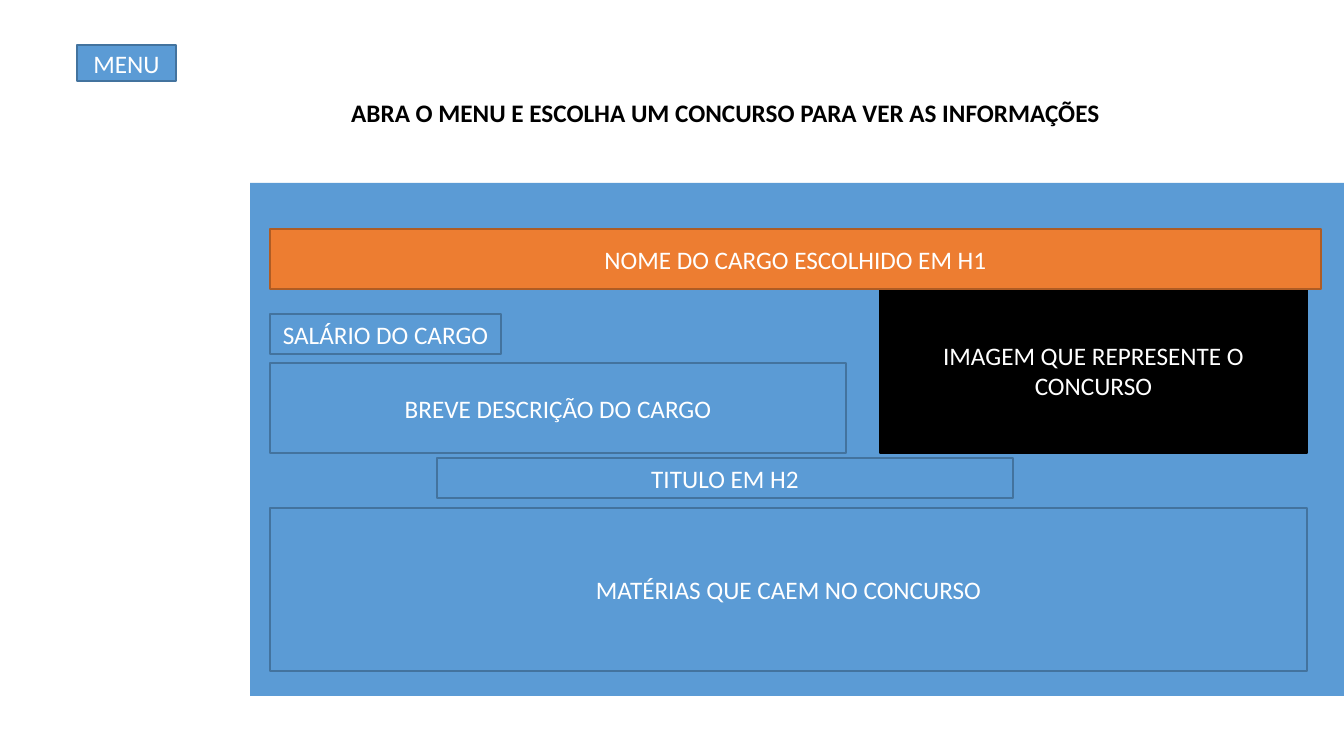
from pptx import Presentation
from pptx import util as u
from pptx.dml.color import RGBColor
from pptx.enum import shapes, text

PX = 12192000 / 1344
BLUE = RGBColor(0x5B, 0x9B, 0xD5)
BLUE_EDGE = RGBColor(0x43, 0x73, 0x9E)
ORANGE = RGBColor(0xED, 0x7D, 0x31)
ORANGE_EDGE = RGBColor(0xAF, 0x5C, 0x24)
BLACK = RGBColor(0, 0, 0)
WHITE = RGBColor(0xFF, 0xFF, 0xFF)


def px(n):
    """Turn pixels into EMU."""
    return u.Emu(round(n * PX))


def apply(obj, values):
    """Set attributes from a dict of format values."""
    for name, value in values.items():
        setattr(obj, name, value)


def write(sp, words, color, bold=False):
    """Write one centred paragraph in a shape."""
    tf = sp.text_frame
    apply(tf, {"word_wrap": True, "auto_size": text.MSO_AUTO_SIZE.NONE,
               "vertical_anchor": text.MSO_ANCHOR.MIDDLE})
    p = tf.paragraphs[0]
    p.alignment = text.PP_ALIGN.CENTER
    r = p.add_run()
    r.text = words
    apply(r.font, {"name": "Calibri", "size": u.Pt(18), "bold": bold})
    r.font.color.rgb = color


def add_box(slide, box, words="", fill=BLUE, edge=BLUE_EDGE):
    """Add a filled rectangle, with an edge and a label if given."""
    sp = slide.shapes.add_shape(shapes.MSO_SHAPE.RECTANGLE, *map(px, box))
    sp.shadow.inherit = False
    sp.fill.solid()
    sp.fill.fore_color.rgb = fill
    if edge is None:
        sp.line.fill.background()
    else:
        sp.line.color.rgb = edge
        sp.line.width = u.Pt(1)
    if words:
        write(sp, words, WHITE)


def add_heading(slide, box):
    """Place and write the slide title."""
    sp = slide.shapes.title
    apply(sp, dict(zip(("left", "top", "width", "height"), map(px, box))))
    write(sp, "ABRA O MENU E ESCOLHA UM CONCURSO PARA VER AS INFORMAÇÕES",
          BLACK, bold=True)


def add_job_panel(slide, box):
    """Draw the job panel and the blocks inside it."""
    left, top, _, _ = box
    add_box(slide, box, edge=None)
    blocks = [
        ((630, 105, 427, 165), "IMAGEM QUE REPRESENTE O CONCURSO", BLACK, BLACK),
        ((20, 46, 1051, 60), "NOME DO CARGO ESCOLHIDO EM H1", ORANGE, ORANGE_EDGE),
        ((20, 131, 231, 40), "SALÁRIO DO CARGO", BLUE, BLUE_EDGE),
        ((20, 180, 576, 90), "BREVE DESCRIÇÃO DO CARGO", BLUE, BLUE_EDGE),
        ((20, 325, 1037, 163), "MATÉRIAS QUE CAEM NO CONCURSO", BLUE, BLUE_EDGE),
        ((187, 275, 576, 40), "TITULO EM H2", BLUE, BLUE_EDGE),
    ]
    for (x, y, w, h), words, fill, edge in blocks:
        add_box(slide, (left + x, top + y, w, h), words, fill, edge)


def main():
    """Build and save the slide."""
    prs = Presentation()
    apply(prs, {"slide_width": px(1344), "slide_height": px(756)})
    slide = prs.slides.add_slide(prs.slide_layouts[5])
    add_box(slide, (77, 45, 99, 36), "MENU")
    add_heading(slide, (250, 62, 951, 101))
    add_job_panel(slide, (250, 183, 1094, 513))
    prs.save("out.pptx")


main()
